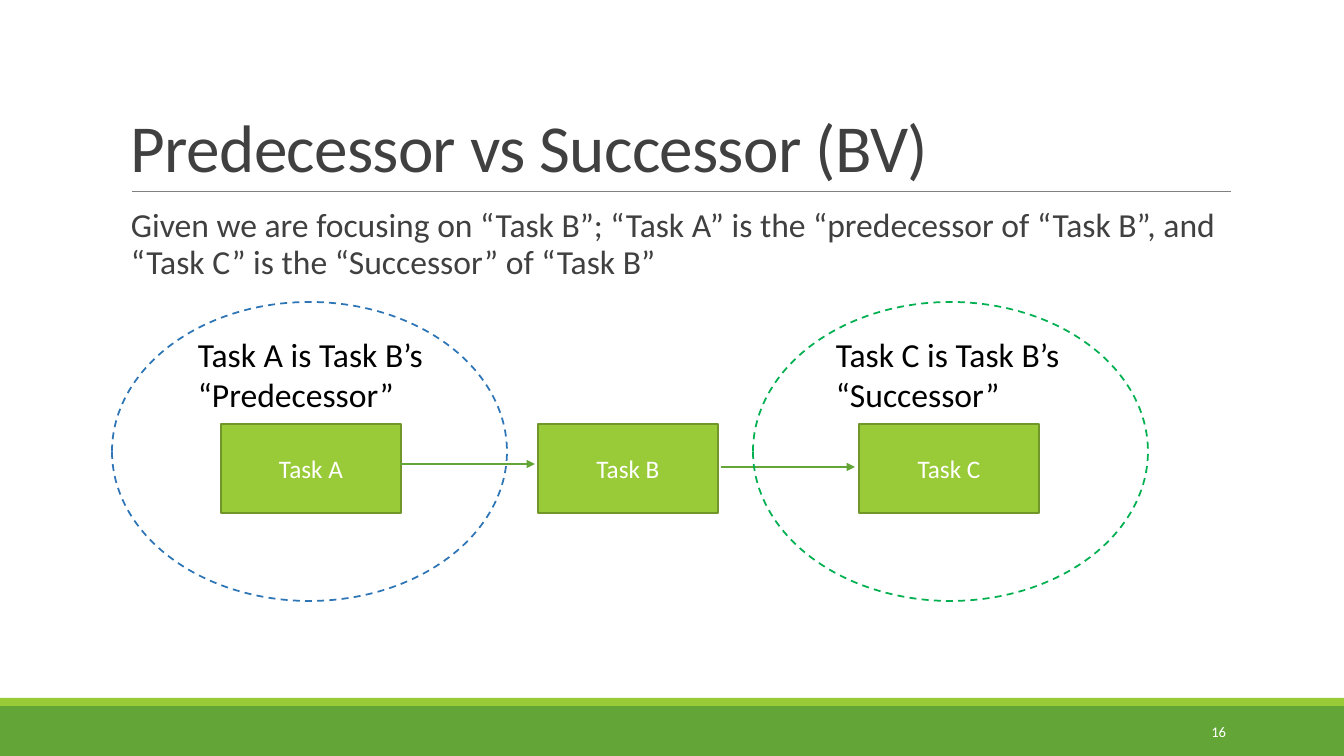
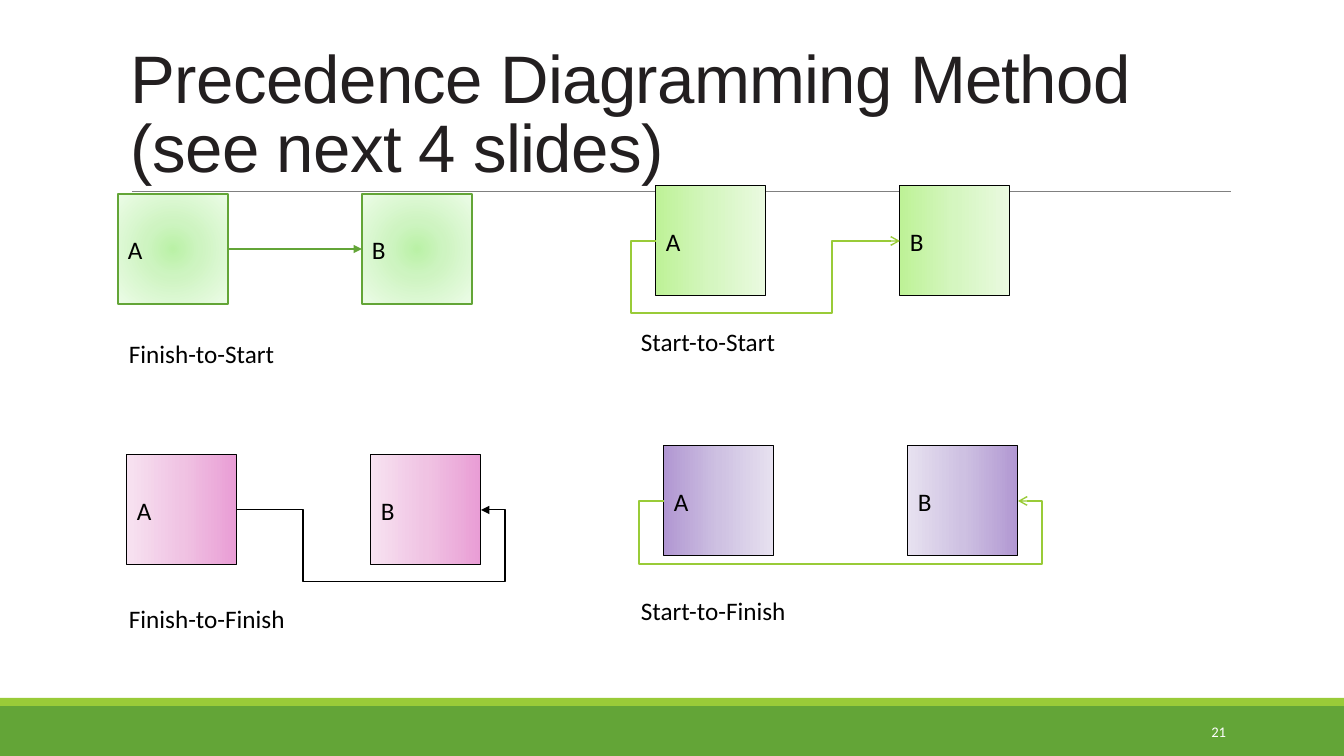
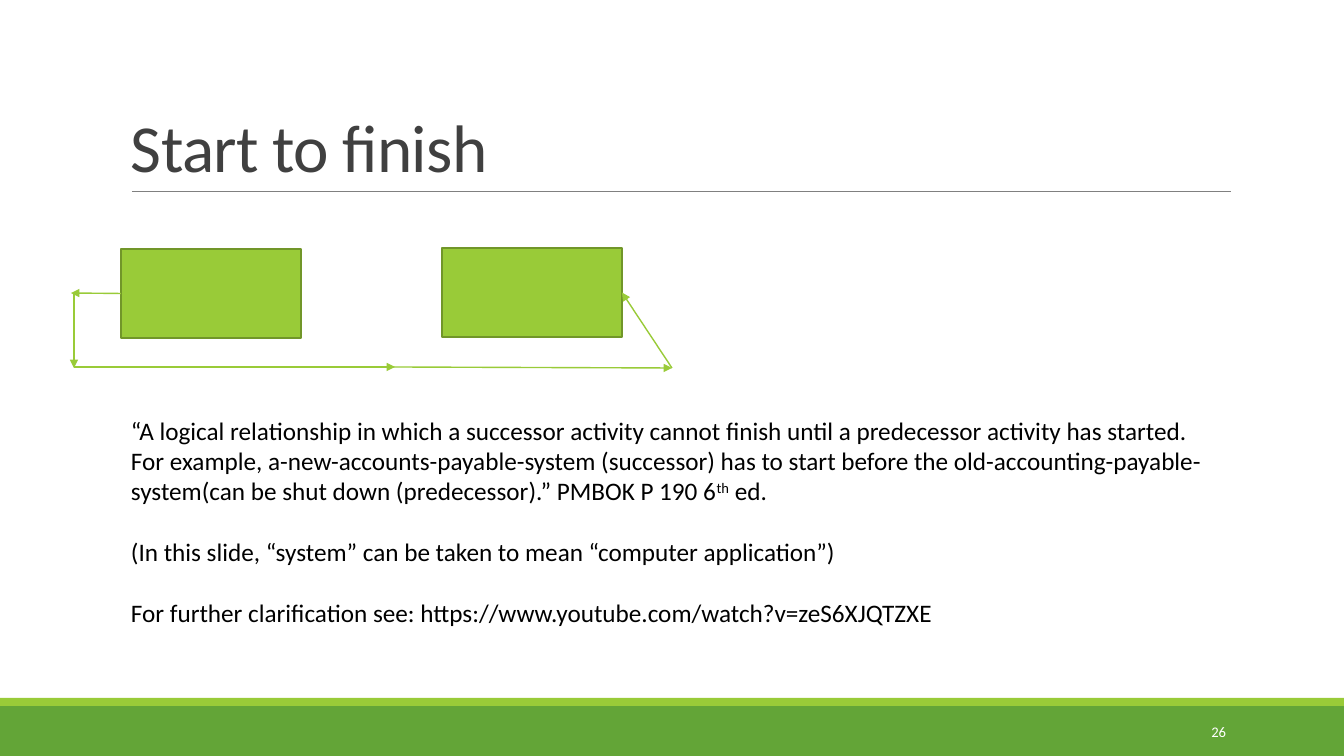
import pptx
import pptx.dml.color
import pptx.enum.dml
import pptx.enum.shapes
import pptx.enum.text
import pptx.oxml
import pptx.oxml.ns
import pptx.util

RGB = pptx.dml.color.RGBColor
SHAPE = pptx.enum.shapes.MSO_SHAPE
STRAIGHT = pptx.enum.shapes.MSO_CONNECTOR.STRAIGHT
ALIGN = pptx.enum.text.PP_ALIGN
ANCHOR = pptx.enum.text.MSO_ANCHOR
DASH = pptx.enum.dml.MSO_LINE.DASH
qn = pptx.oxml.ns.qn

BLACK = RGB(0x00, 0x00, 0x00)
WHITE = RGB(0xFF, 0xFF, 0xFF)
LIME = RGB(0x99, 0xCB, 0x38)
LIME_EDGE = RGB(0x71, 0x96, 0x29)
GREEN = RGB(0x63, 0xA5, 0x37)
GREY = RGB(0x80, 0x80, 0x80)
CHARCOAL = RGB(0x40, 0x40, 0x40)
INK = RGB(0x23, 0x1F, 0x20)
BLUE_RING = RGB(0x2E, 0x75, 0xB6)
GREEN_RING = RGB(0x00, 0xB0, 0x50)

MINT = ((0, "BAF1A6"), (35, "CEF4C1"), (100, "ECFCE7"))
SPRING = ((0, "BEF297"), (50, "D5F6C0"), (100, "EAFAE0"))
PINK = ((0, "E99DD5"), (50, "F0C3E3"), (100, "F7E2F1"))
PURPLE = ((0, "B197D2"), (50, "CEC1E2"), (100, "E7E1F0"))

PX_PER_INCH = 100.8
SIDE = 110
PITCH = 244
TASK_SIZE = (180, 89)


def px(length):
    """Turn a length in px into EMU."""
    return pptx.util.Emu(round(length * 914400 / PX_PER_INCH))


def write(frame, lines, size=18, colour=BLACK, font="Calibri", align=ALIGN.LEFT,
          anchor=ANCHOR.TOP, spacing=None, gap=0):
    """Fill a text frame with evenly formatted paragraphs."""
    frame.word_wrap = True
    frame.vertical_anchor = anchor
    frame.text = "\n".join(lines)
    for index, para in enumerate(frame.paragraphs):
        para.alignment = align
        para.line_spacing = spacing
        if index:
            para.space_before = pptx.util.Pt(gap)
        for span in para.runs:
            style(span, size, colour, font)


def style(span, size, colour, font="Calibri"):
    """Set the size, colour and font of a run."""
    span.font.size = pptx.util.Pt(size)
    span.font.color.rgb = colour
    span.font.name = font


def add_text(page, at, lines, **options):
    """Add a text box and return its frame."""
    box = page.shapes.add_textbox(*map(px, at))
    write(box.text_frame, lines, **options)
    return box.text_frame


def add_box(page, kind, at, fill=None, line=None, width=1.25):
    """Add a flat preset shape."""
    box = page.shapes.add_shape(kind, *map(px, at))
    box.shadow.inherit = False
    if fill is None:
        box.fill.background()
    else:
        box.fill.solid()
        box.fill.fore_color.rgb = fill
    if line is None:
        box.line.fill.background()
    else:
        set_line(box.line, line, width)
    return box


def set_line(line, colour, width, head=None):
    """Set the colour, width and end arrowhead of a line."""
    line.color.rgb = colour
    line.width = pptx.util.Pt(width)
    if head:
        end = line._get_or_add_ln().makeelement(qn("a:tailEnd"), {"type": head})
        line._get_or_add_ln().append(end)


def add_line(page, start, end, colour, width=1, head="triangle", begin=None, finish=None):
    """Add a straight connector, joined to (box, side) pairs where given."""
    link = page.shapes.add_connector(STRAIGHT, *map(px, start + end))
    set_line(link.line, colour, width, head)
    properties = link._element.spPr
    properties.append(properties.makeelement(qn("a:effectLst"), {}))
    if begin:
        link.begin_connect(*begin)
    if finish:
        link.end_connect(*finish)


def add_elbow(page, xs, y, drop, colour, width, head):
    """Add an arrow that leaves, passes below and returns at the same height."""
    start, leave, back, end = xs
    low = y + drop
    corners = [(leave, y), (leave, low), (back, low), (back, y), (end, y)]
    builder = page.shapes.build_freeform(px(start), px(y))
    builder.add_line_segments([(px(a), px(b)) for a, b in corners], close=False)
    route = builder.convert_to_shape()
    route.shadow.inherit = False
    route.fill.background()
    set_line(route.line, colour, width, head)


def set_gradient(box, stops, angle):
    """Fill a box with a linear gradient, or a radial one if angle is None."""
    marks = "".join(
        f'<a:gs pos="{place * 1000}"><a:srgbClr val="{colour}"/></a:gs>'
        for place, colour in stops)
    if angle is None:
        course = ('<a:path path="circle"><a:fillToRect l="50000" t="50000" '
                  'r="50000" b="50000"/></a:path>')
    else:
        course = f'<a:lin ang="{angle * 60000}" scaled="0"/>'
    box.fill.gradient()
    properties = box._element.spPr
    properties.replace(properties.find(qn("a:gradFill")), pptx.oxml.parse_xml(
        f'<a:gradFill {pptx.oxml.ns.nsdecls("a")} rotWithShape="1">'
        f'<a:gsLst>{marks}</a:gsLst>{course}</a:gradFill>'))


def add_page(deck, title, number, colour=CHARCOAL, font="Calibri"):
    """Add a slide with the shared bands, rule, title and page number."""
    page = deck.slides.add_slide(deck.slide_layouts[6])
    add_box(page, SHAPE.RECTANGLE, (0, 706, 1344, 50), GREEN)
    add_box(page, SHAPE.RECTANGLE, (0, 698, 1344, 8), LIME)
    add_line(page, (132, 191), (1231, 191), GREY, 0.5, None)
    frame = add_text(page, (121, 31, 1109, 160), [title], size=48, colour=colour,
                     font=font, anchor=ANCHOR.BOTTOM, spacing=0.85)
    frame.paragraphs[0].runs[0].font._element.set("spc", "-50")
    add_text(page, (1092, 712, 144, 40), [str(number)], size=10.5, colour=WHITE,
             align=ALIGN.RIGHT, anchor=ANCHOR.MIDDLE)
    return page


def add_task(page, left, top, name=None):
    """Add a green task box."""
    box = add_box(page, SHAPE.RECTANGLE, (left, top) + TASK_SIZE, LIME, LIME_EDGE)
    if name:
        write(box.text_frame, [name], colour=WHITE, align=ALIGN.CENTER,
              anchor=ANCHOR.MIDDLE)
    return box


def add_pair(page, left, top, stops, angles, line=BLACK, width=0.75):
    """Add the activity squares A and B and return them."""
    pair = []
    for index, (name, angle) in enumerate(zip("AB", angles)):
        at = (left + index * PITCH, top, SIDE, SIDE)
        box = add_box(page, SHAPE.RECTANGLE, at, WHITE, line, width)
        set_gradient(box, stops, angle)
        write(box.text_frame, [name], anchor=ANCHOR.MIDDLE)
        pair.append(box)
    return pair


def add_predecessor_page(deck):
    """Build the slide on predecessors and successors."""
    page = add_page(deck, "Predecessor vs Successor (BV)", 16)
    frame = add_text(
        page, (121, 204, 1109, 80),
        ["Given we are focusing on “Task B”; “Task A” is the “predecessor of “Task B”, "
         "and “Task C” is the “Successor” of “Task B”"],
        size=24, colour=CHARCOAL, spacing=0.9)
    frame.margin_right = 0
    for left, name in ((221, "Task A"), (538, "Task B"), (859, "Task C")):
        add_task(page, left, 424, name)
    add_line(page, (400, 464), (535, 464), GREEN)
    add_line(page, (721, 467), (855, 467), GREEN)
    for left, text, ring_left, colour in (
            (188, "Task A is Task B’s “Predecessor”", 112, BLUE_RING),
            (826, "Task C is Task B’s “Successor”", 753, GREEN_RING)):
        add_text(page, (left, 329, 246, 92), [text], size=24)
        ring = add_box(page, SHAPE.OVAL, (ring_left, 302, 395, 299), None, colour)
        ring.line.dash_style = DASH


def add_method_page(deck):
    """Build the slide with the four kinds of dependency."""
    page = add_page(deck, "Precedence Diagramming Method (see next 4 slides)", 21,
                    INK, "Arial")
    first, second = add_pair(page, 118, 194, MINT, (None, None), GREEN, 1)
    add_line(page, (228, 249), (362, 249), GREEN, begin=(first, 3), finish=(second, 1))
    add_pair(page, 656, 186, SPRING, (0, 0))
    add_elbow(page, (656, 631, 832, 900), 241, 72, LIME, 1, "arrow")
    add_pair(page, 127, 455, PINK, (180, 180))
    add_elbow(page, (237, 303, 505, 481), 510, 72, BLACK, 0.75, "triangle")
    add_pair(page, 664, 446, PURPLE, (0, 180))
    add_elbow(page, (664, 639, 1042, 1018), 501, 63, LIME, 1, "arrow")
    for left, top, name in ((119, 333, "Finish-to-Start"), (631, 321, "Start-to-Start"),
                            (119, 598, "Finish-to-Finish"), (631, 590, "Start-to-Finish")):
        add_text(page, (left, top, 216, 40), [name])


def add_finish_page(deck):
    """Build the slide on the start-to-finish relationship."""
    page = add_page(deck, "Start to finish", 26)
    first = add_task(page, 121, 249)
    second = add_task(page, 442, 248)
    frame = add_text(page, (121, 410, 1109, 224), [
        "“A logical relationship in which a successor activity cannot finish until a "
        "predecessor activity has started. For example, a-new-accounts-payable-system "
        "(successor) has to start before the old-accounting-payable-system(can be shut "
        "down (predecessor).” PMBOK P 190 6",
        "(In this slide, “system” can be taken to mean “computer application”)",
        "For further clarification see: https://www.youtube.com/watch?v=zeS6XJQTZXE",
    ], gap=22)
    for text, baseline in (("th", "30000"), (" ed.", "0")):
        span = frame.paragraphs[0].add_run()
        span.text = text
        style(span, 18, BLACK)
        span.font._element.set("baseline", baseline)
    add_line(page, (121, 294), (71, 293), LIME, begin=(first, 1))
    add_line(page, (388, 367), (672, 368), LIME)
    add_line(page, (74, 293), (74, 368), LIME)
    add_line(page, (74, 367), (395, 367), LIME)
    add_line(page, (672, 368), (622, 293), LIME, finish=(second, 3))


def main():
    """Build and save the deck."""
    deck = pptx.Presentation()
    deck.slide_width, deck.slide_height = px(1344), px(756)
    add_predecessor_page(deck)
    add_method_page(deck)
    add_finish_page(deck)
    deck.save("out.pptx")


if __name__ == "__main__":
    main()
